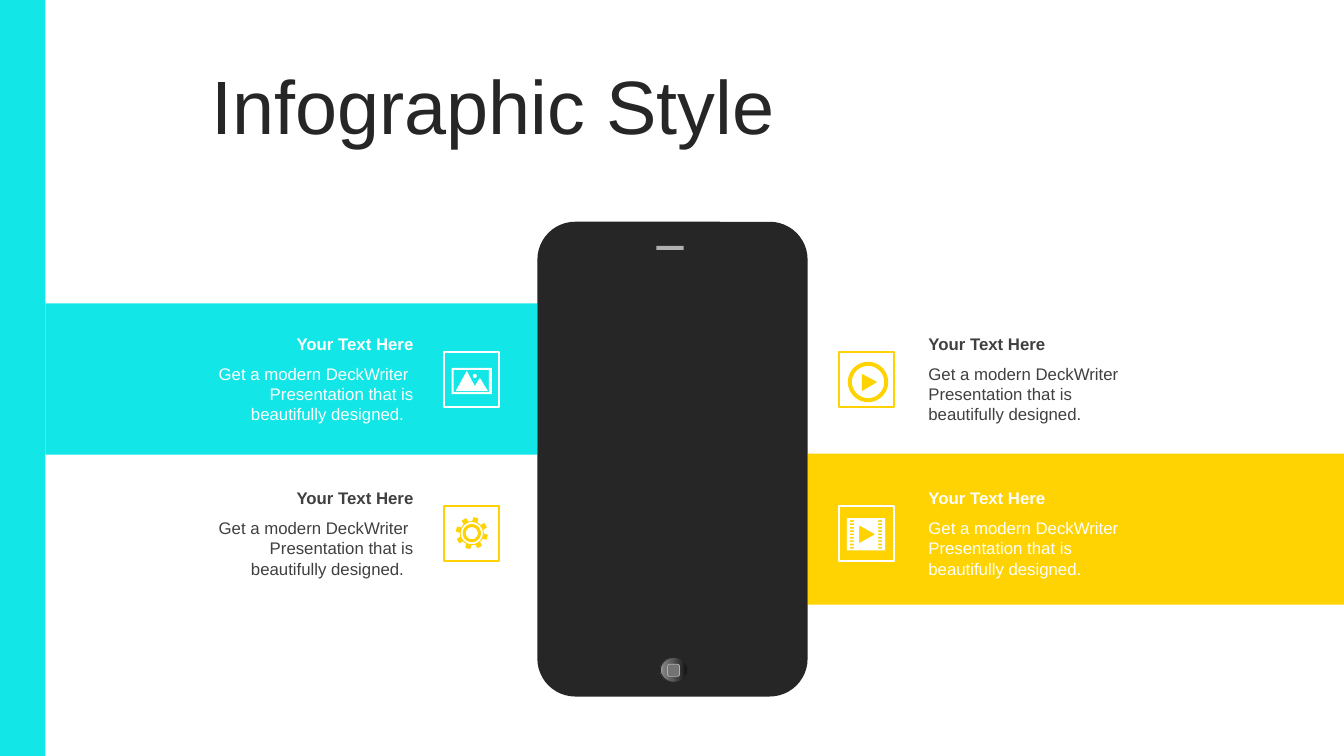
import copy
import math
import pptx
import pptx.util
import pptx.dml.color
import pptx.enum.shapes
import pptx.enum.text

Inches = pptx.util.Inches
Pt = pptx.util.Pt
SHAPE = pptx.enum.shapes.MSO_SHAPE
ALIGN = pptx.enum.text.PP_ALIGN
ANCHOR = pptx.enum.text.MSO_ANCHOR

CYAN, YELLOW, WHITE = "12E6E6", "FFD302", "FFFFFF"
DARK, GREY, SILVER = "262626", "404040", "B0B0B0"
HEADING = "Your Text Here"
BODY = "Get a modern DeckWriter  Presentation that is beautifully designed."


def color(value):
    return pptx.dml.color.RGBColor.from_string(value)


def apply(target, values):
    for name, value in values.items():
        setattr(target, name, value)


def paint(shape, fill=None, line=None, width=0):
    shape.shadow.inherit = False
    if fill:
        shape.fill.solid()
        shape.fill.fore_color.rgb = color(fill)
    else:
        shape.fill.background()
    if line:
        shape.line.color.rgb = color(line)
        shape.line.width = Pt(width)
    else:
        shape.line.fill.background()


def add_block(shapes, kind, place, **style):
    shape = shapes.add_shape(kind, *map(Inches, place))
    paint(shape, **style)
    return shape


def add_text(page, place, text, font, para_format, anchor):
    box = page.shapes.add_textbox(*map(Inches, place))
    apply(box.text_frame, {"word_wrap": True, "vertical_anchor": anchor})
    para = box.text_frame.paragraphs[0]
    apply(para, para_format)
    span = para.add_run()
    span.text = text
    hue, size, bold = font
    apply(span.font, {"name": "Arial", "size": Pt(size), "bold": bold})
    span.font.color.rgb = color(hue)


def add_outline(page, contours, fill):
    scaled = [[(Inches(x), Inches(y)) for x, y in points] for points in contours]
    builder = page.shapes.build_freeform(*scaled[0][0])
    for index, points in enumerate(scaled):
        if index:
            builder.move_to(*points[0])
        builder.add_line_segments(points[1:], close=True)
    paint(builder.convert_to_shape(), fill)


def rectangle(left, top, right, bottom):
    return [(left, top), (right, top), (right, bottom), (left, bottom)]


def polar(x, y, radius, degrees):
    angle = math.radians(degrees)
    return x + radius * math.cos(angle), y + radius * math.sin(angle)


def circle(x, y, radius):
    return [polar(x, y, radius, degrees) for degrees in range(0, 360, 6)]


def play_icon():
    x, y = 8.61, 3.79
    triangle = [(8.55, 3.71), (8.7, 3.79), (8.55, 3.88)]
    return [circle(x, y, 0.2), circle(x, y, 0.16), triangle]


def film_icon():
    contours = [rectangle(8.4, 5.14, 8.78, 5.46),
                [(8.52, 5.21), (8.52, 5.39), (8.68, 5.3)]]
    pitch = 0.3 / 9
    for row in range(9):
        top = 5.16 + row * pitch
        for left in (8.43, 8.71):
            contours.append(rectangle(left, top, left + 0.04, top + pitch / 2))
    return contours


def photo_icon():
    mountains = [(4.63, 3.68), (4.71, 3.83), (4.76, 3.75), (4.84, 3.88), (4.52, 3.88)]
    return [rectangle(4.48, 3.65, 4.88, 3.91), rectangle(4.5, 3.67, 4.85, 3.89),
            mountains, circle(4.71, 3.73, 0.02)]


def gear_icon():
    x, y = 4.68, 5.29
    teeth = [polar(x, y, radius, tooth * 45 - 75 + offset)
             for tooth in range(8)
             for radius, offset in ((0.12, -13), (0.16, -9), (0.16, 9), (0.12, 13))]
    return [teeth] + [circle(x, y, radius) for radius in (0.11, 0.09, 0.06)]


def add_phone(page):
    shapes = page.shapes.add_group_shape().shapes
    case = add_block(shapes, SHAPE.ROUNDED_RECTANGLE, (5.33, 2.2, 2.68, 4.71), fill=DARK)
    case.adjustments[0] = 0.14
    add_block(shapes, SHAPE.RECTANGLE, (6.51, 2.44, 0.27, 0.04), fill=SILVER)
    button = add_block(shapes, SHAPE.OVAL, (6.55, 6.52, 0.27, 0.25), line=DARK)
    button.fill.gradient()
    button.fill.gradient_angle = 180
    first, last = (stop._gs for stop in button.fill.gradient_stops)
    for extra in range(2):
        first.addnext(copy.deepcopy(last))
    shades = ((0, "0F0F0F"), (0.56, "595959"), (0.91, "808080"), (1, "BFBFBF"))
    for stop, (position, shade) in zip(button.fill.gradient_stops, shades):
        stop.position = position
        stop.color.rgb = color(shade)
    add_block(shapes, SHAPE.ROUNDED_RECTANGLE, (6.62, 6.59, 0.12, 0.12),
              fill="737373", line=SILVER, width=0.5)


def add_feature(page, text_left, icon_left, row, align, text_hue, icon_hue, contours):
    top = 3.26 + row * 1.53
    body = BODY + "  " if align == ALIGN.RIGHT else BODY
    para_format = {"alignment": align}
    add_text(page, (text_left, top, 2.2, 0.3), HEADING, (text_hue, 12, True),
             para_format, ANCHOR.MIDDLE)
    add_text(page, (text_left, top + 0.3, 2.2, 0.71), body, (text_hue, 12, False),
             para_format, ANCHOR.TOP)
    add_block(page.shapes, SHAPE.RECTANGLE, (icon_left, top + 0.23, 0.55, 0.55),
              line=icon_hue, width=1.5)
    add_outline(page, contours, icon_hue)


def main():
    deck = pptx.Presentation()
    apply(deck, {"slide_width": Inches(13.33), "slide_height": Inches(7.5)})
    page = deck.slides.add_slide(deck.slide_layouts[6])
    for place, fill in (((0, 0, 0.45, 7.5), CYAN),
                        ((0.45, 3.01, 4.88, 1.5), CYAN),
                        ((8.01, 4.5, 5.32, 1.5), YELLOW)):
        add_block(page.shapes, SHAPE.RECTANGLE, place, fill=fill)
    add_phone(page)
    add_text(page, (2, 0.7, 10.92, 0.79), "Infographic Style", (DARK, 54, False),
             {"line_spacing": 0.9, "space_before": Pt(10)}, ANCHOR.MIDDLE)
    left, right = (2, 4.4), (9.11, 8.32)
    for side, row, align, text_hue, icon_hue, contours in (
            (left, 0, ALIGN.RIGHT, WHITE, WHITE, photo_icon()),
            (left, 1, ALIGN.RIGHT, GREY, YELLOW, gear_icon()),
            (right, 0, ALIGN.LEFT, GREY, YELLOW, play_icon()),
            (right, 1, ALIGN.LEFT, WHITE, WHITE, film_icon())):
        add_feature(page, *side, row, align, text_hue, icon_hue, contours)
    deck.save("out.pptx")


if __name__ == "__main__":
    main()
